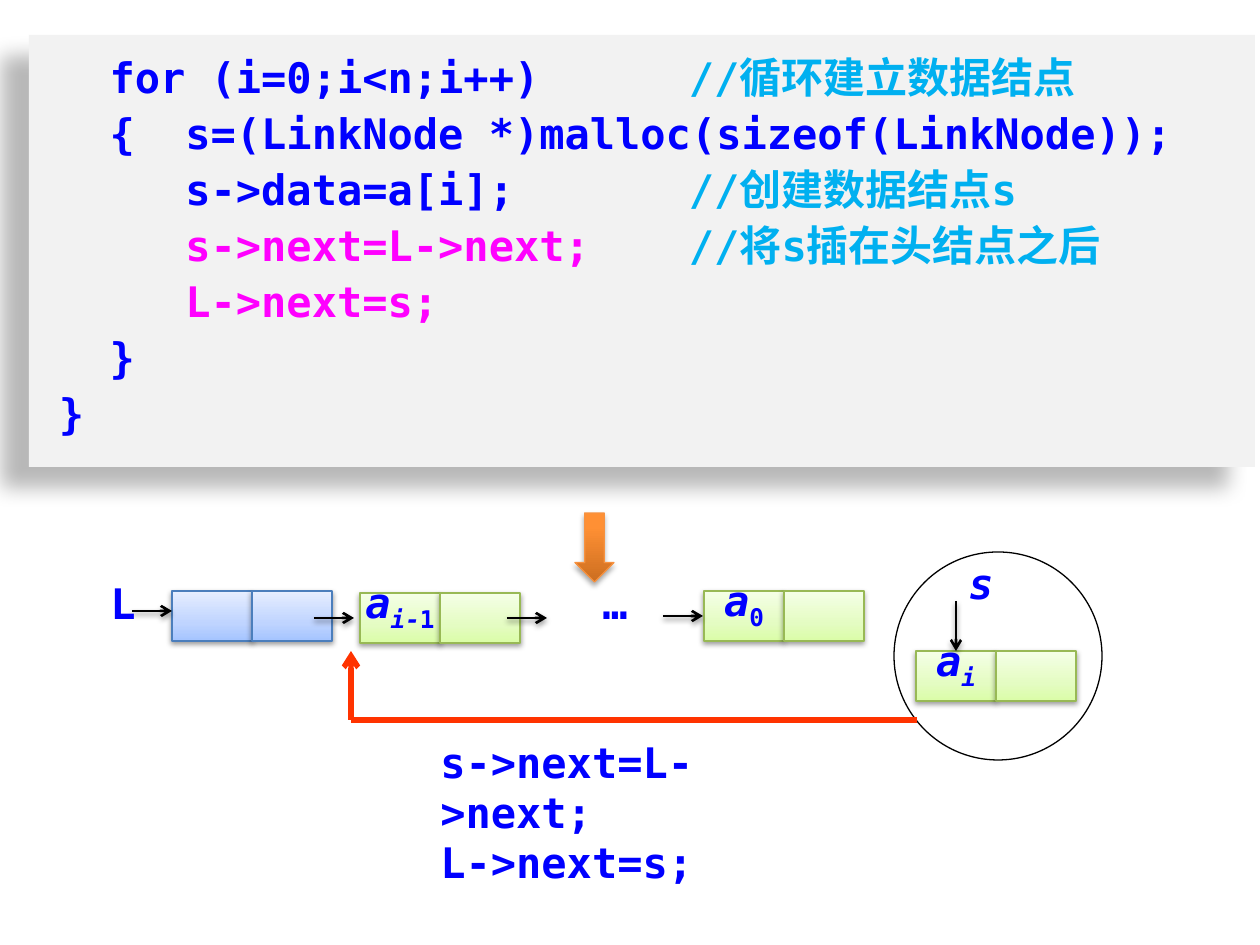
from pptx import Presentation, util as u
from pptx.dml.color import RGBColor
from pptx.enum import shapes, text
from pptx.oxml import parse_xml
from pptx.oxml.ns import nsdecls, qn

SCALE = 914400 // 126
BLUE, CYAN, PINK, RED, BLACK = "0000FF", "00B0F0", "FF00FF", "FF3300", "000000"
HEAD_STYLE = dict(stops=((0, "A4C4FF"), (35, "BFD4FF"), (100, "E6EEFF")), line="4B7EBC")
DATA_STYLE = dict(stops=((0, "DAFDA7"), (35, "E4FCC2"), (100, "F5FFE7")), line="98B955")
ARROW_STYLE = dict(stops=((0, "CC6E20"), (80, "FF9034"), (100, "FF9136")), line="F69240")
SOFT_SHADOW = (38, 3.1, 1.6, 90)


def px(value):
    return u.Emu(value * SCALE)


def color(value):
    return RGBColor.from_string(value)


def element(xml):
    """Parse one drawing element whose tag is given without its namespace."""
    tag, _, rest = xml.partition(" ")
    return parse_xml(f"<a:{tag} {nsdecls('a')} {rest}")


def write(frame, paragraphs, fill=BLUE, italic=False, align=None, leading=None, before=0, tabs=()):
    """Fill a frame; each paragraph is a list of strings or (string, format) pairs."""
    for index, spans in enumerate(paragraphs):
        para = frame.paragraphs[0] if index == 0 else frame.add_paragraph()
        para.alignment = align
        if leading:
            para.line_spacing = u.Pt(leading)
        if index and before:
            para.space_before = u.Pt(before)
        if tabs:
            stops = "".join(f'<a:tab pos="{px(stop)}" algn="l"/>' for stop in tabs)
            para._element.get_or_add_pPr().append(element(f"tabLst >{stops}</a:tabLst>"))
        for item in spans:
            content, style = (item, {}) if isinstance(item, str) else item
            span = para.add_run()
            span.text = content
            font = span.font
            font.name, font.size, font.bold = "DejaVu Sans Mono", u.Pt(24), True
            font.italic = style.get("italic", italic)
            font.color.rgb = color(style.get("fill", fill))
            if style.get("sub"):
                font._element.set("baseline", "-25000")


class Board:
    cell_width, cell_height = 80, 50

    def __init__(self, slide):
        self.slide = slide

    def cast_shadow(self, effects, opacity, blur, distance, angle):
        effects.append(element(
            f'outerShdw blurRad="{u.Pt(blur)}" dist="{u.Pt(distance)}" dir="{angle * 60000}" '
            f'algn="ctr" rotWithShape="0"><a:srgbClr val="{BLACK}">'
            f'<a:alpha val="{opacity * 1000}"/></a:srgbClr></a:outerShdw>'))

    def shape(self, kind, left, top, width, height, fill=None, stops=None, line=None, shadow=None):
        shape = self.slide.shapes.add_shape(kind, px(left), px(top), px(width), px(height))
        if stops:
            shape.fill.gradient()
            shape.fill.gradient_angle = 90
            stop_list = shape._element.spPr.find(".//" + qn("a:gsLst"))
            stop_list.clear()
            for position, value in stops:
                stop_list.append(element(
                    f'gs pos="{position * 1000}"><a:srgbClr val="{value}"/></a:gs>'))
        elif fill:
            shape.fill.solid()
            shape.fill.fore_color.rgb = color(fill)
        else:
            shape.fill.background()
        if line:
            shape.line.color.rgb = color(line)
            shape.line.width = u.Pt(0.75)
        else:
            shape.line.fill.background()
        shape.shadow.inherit = False
        if shadow:
            self.cast_shadow(shape._element.spPr.find(qn("a:effectLst")), *shadow)
        return shape

    def code_panel(self, left, top, width, height, lines):
        panel = self.shape(shapes.MSO_SHAPE.RECTANGLE, left, top, width, height,
                           fill="F2F2F2", shadow=(28, 11.8, 19.7, 141))
        frame = panel.text_frame
        frame.word_wrap = True
        frame.vertical_anchor = text.MSO_ANCHOR.TOP
        frame.margin_left, frame.margin_right = px(30), px(20)
        frame.margin_top = frame.margin_bottom = px(25)
        write(frame, lines, align=text.PP_ALIGN.LEFT, leading=24, before=8, tabs=(504, 630))

    def node(self, left, top, style, label=()):
        """Draw a list node: a data cell and a pointer cell side by side."""
        data, _ = [self.shape(shapes.MSO_SHAPE.RECTANGLE, left + step * self.cell_width, top,
                              self.cell_width, self.cell_height, shadow=SOFT_SHADOW, **style)
                   for step in range(2)]
        if label:
            frame = data.text_frame
            frame.word_wrap = False
            frame.vertical_anchor = text.MSO_ANCHOR.MIDDLE
            write(frame, [label], italic=True, align=text.PP_ALIGN.CENTER, leading=18)

    def label(self, left, top, width, height, lines, **style):
        box = self.slide.shapes.add_textbox(px(left), px(top), px(width), px(height))
        box.text_frame.word_wrap = True
        write(box.text_frame, [[line] for line in lines], **style)

    def line(self, x1, y1, x2, y2, stroke=BLACK, width=1.5, arrow=True, shadow=SOFT_SHADOW):
        line = self.slide.shapes.add_connector(
            shapes.MSO_CONNECTOR.STRAIGHT, px(x1), px(y1), px(x2), px(y2))
        line.line.color.rgb = color(stroke)
        line.line.width = u.Pt(width)
        if arrow:
            line.line._get_or_add_ln().append(element('tailEnd type="arrow"/>'))
        effects = element("effectLst />")
        if shadow:
            self.cast_shadow(effects, *shadow)
        line._element.spPr.append(effects)


def main():
    deck = Presentation()
    deck.slide_width, deck.slide_height = u.Inches(10), u.Inches(7.5)
    board = Board(deck.slides.add_slide(deck.slide_layouts[6]))

    comment, insertion = dict(fill=CYAN), dict(fill=PINK)
    board.code_panel(29, 35, 1226, 432, [
        ["  for (i=0;i<n;i++)\t\t", ("//循环建立数据结点", comment)],
        ["  {  s=(LinkNode *)malloc(sizeof(LinkNode));"],
        ["     s->data=a[i];\t\t", ("//创建数据结点s", comment)],
        [("     s->next=L->next; \t", insertion), ("//将s插在头结点之后", comment)],
        [("     L->next=s;", insertion)],
        ["  }"],
        ["}"],
    ])

    board.shape(shapes.MSO_SHAPE.OVAL, 894, 552, 208, 208, line=BLACK)
    sub, upright_sub = dict(sub=True), dict(sub=True, italic=False)
    board.node(172, 591, HEAD_STYLE)
    board.node(360, 593, DATA_STYLE, ["a", ("i-", sub), ("1", upright_sub)])
    board.node(704, 591, DATA_STYLE, ["a", ("0", upright_sub)])
    board.node(916, 651, DATA_STYLE, ["a", ("i", sub)])

    for left, y in ((132, 611), (314, 618), (507, 618), (663, 616)):
        board.line(left, y, left + 40, y)
    board.line(956, 601, 956, 651)

    board.label(98, 571, 69, 63, ["L"])
    board.label(590, 571, 69, 63, ["…"])
    board.label(956, 551, 79, 63, ["s"], italic=True)

    board.line(351, 720, 351, 651, RED, 3, shadow=None)
    board.line(351, 720, 917, 720, RED, 3, arrow=False, shadow=None)
    board.shape(shapes.MSO_SHAPE.DOWN_ARROW, 575, 513, 39, 69,
                shadow=(35, 3.1, 1.8, 90), **ARROW_STYLE)
    board.label(428, 730, 403, 115, ["s->next=L->next;", "L->next=s;"])

    deck.save("out.pptx")


if __name__ == "__main__":
    main()
